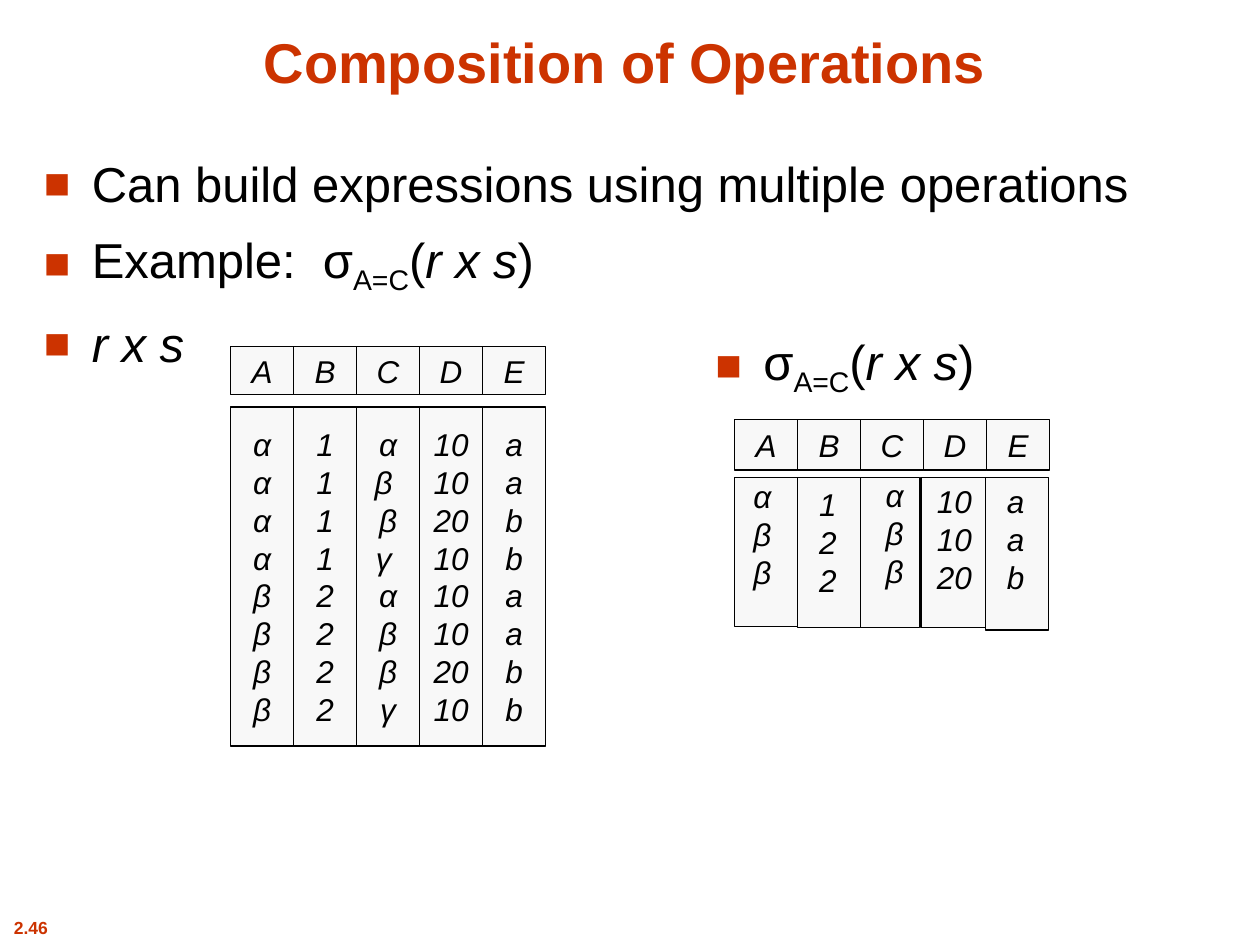
from dataclasses import dataclass

from lxml import etree
from pptx import Presentation
from pptx import util as u
from pptx.dml.color import RGBColor
from pptx.enum import shapes, text
from pptx.oxml.ns import qn


@dataclass(frozen=True)
class Theme:
    font: str = "Arial"
    accent: str = "CC3300"
    ink: str = "000000"
    cell: str = "F8F8F8"
    title: int = 32
    body: int = 28
    table: int = 18
    footer: int = 10
    rule: float = 0.75


THEME = Theme()

TITLE = "Composition of Operations"
PAGE_NUMBER = "2.46"

# Each bullet is a list of (wording, style) pairs.
SELECTION = [("A=C", "sub"), ("(", ""), ("r x s", "italic"), (")", "")]
BULLETS = [
    [("Can build expressions using multiple operations", "")],
    [("Example:  σ", "")] + SELECTION,
    [("r x s", "italic")],
]
RESULT_BULLET = [[("σ", "")] + SELECTION]

HEADERS = "ABCDE"
PRODUCT = [
    ["α", "α", "α", "α", "β", "β", "β", "β"],
    ["1", "1", "1", "1", "2", "2", "2", "2"],
    ["α", "β ", "β", "γ \vα", "β", "β", "γ"],
    ["10", "10", "20", "10", "10", "10", "20", "10"],
    ["a", "a", "b", "b", "a", "a", "b", "b"],
]
# Result columns: values, cell (left, width, height), label (left, top, width)
RESULT = [
    (["α", "β", "β"], (5.83, 0.53, 1.18), (5.87, 3.74, 0.36)),
    (["1", "2", "2"], (6.33, 0.5, 1.19), (6.4, 3.8, 0.34)),
    (["α", "β", "β"], (6.83, 0.47, 1.19), (6.92, 3.73, 0.36)),
    (["10", "10", "20"], (7.31, 0.53, 1.19), (7.29, 3.78, 0.57)),
    (["a", "a", "b"], (7.82, 0.5, 1.21), (7.89, 3.78, 0.34)),
]
COLUMN = 0.5
PRODUCT_LEFT, PRODUCT_TOP, PRODUCT_BODY_TOP = 1.83, 2.75, 3.23
RESULT_LEFT, RESULT_TOP, RESULT_BODY_TOP = 5.83, 3.33, 3.79
LABEL_HEIGHT = 1.19


def inches(*lengths):
    return [u.Inches(length) for length in lengths]


def style(span, size, color=THEME.ink, bold=False, italic=False):
    font = span.font
    font.name, font.size = THEME.font, u.Pt(size)
    font.bold, font.italic = bold, italic
    font.color.rgb = RGBColor.from_string(color)


def write_centred(frame, lines, size, **look):
    for index, line in enumerate(lines):
        para = frame.add_paragraph() if index else frame.paragraphs[0]
        para.text = line
        para.alignment = text.PP_ALIGN.CENTER
        for span in para.runs:
            style(span, size, **look)


def add_bullet_mark(para):
    """Square accent bullet, hanging indent and proportional space before."""
    props = para._p.get_or_add_pPr()
    props.set("marL", str(u.Inches(0.38)))
    props.set("indent", str(-u.Inches(0.38)))
    before = etree.SubElement(props, qn("a:spcBef"))
    etree.SubElement(before, qn("a:spcPct"), val="35000")
    color = etree.SubElement(props, qn("a:buClr"))
    etree.SubElement(color, qn("a:srgbClr"), val=THEME.accent)
    etree.SubElement(props, qn("a:buSzPct"), val="90000")
    etree.SubElement(props, qn("a:buFont"), typeface=THEME.font)
    etree.SubElement(props, qn("a:buChar"), char="■")


def add_bullets(page, bounds, bullets):
    frame = page.shapes.add_textbox(*inches(*bounds)).text_frame
    frame.word_wrap = True
    for index, bullet in enumerate(bullets):
        para = frame.add_paragraph() if index else frame.paragraphs[0]
        add_bullet_mark(para)
        for wording, kind in bullet:
            span = para.add_run()
            span.text = wording
            style(span, THEME.body, italic=kind == "italic")
            if kind == "sub":
                span._r.get_or_add_rPr().set("baseline", "-25000")


def add_cell(group, bounds, lines=()):
    box = group.shapes.add_shape(shapes.MSO_SHAPE.RECTANGLE, *inches(*bounds))
    box.shadow.inherit = False
    box.fill.solid()
    box.fill.fore_color.rgb = RGBColor.from_string(THEME.cell)
    box.line.color.rgb = RGBColor.from_string(THEME.ink)
    box.line.width = u.Pt(THEME.rule)
    frame = box.text_frame
    frame.word_wrap = False
    frame.vertical_anchor = text.MSO_ANCHOR.MIDDLE
    write_centred(frame, lines, THEME.table, italic=True)


def add_label(holder, bounds, lines, size, **look):
    frame = holder.shapes.add_textbox(*inches(*bounds)).text_frame
    frame.word_wrap = False
    frame.auto_size = text.MSO_AUTO_SIZE.SHAPE_TO_FIT_TEXT
    write_centred(frame, lines, size, **look)
    return frame


def add_headers(group, left, top, height):
    for index, name in enumerate(HEADERS):
        add_cell(group, (left + index * COLUMN, top, COLUMN, height), [name])


def add_product_table(page):
    group = page.shapes.add_group_shape()
    add_headers(group, PRODUCT_LEFT, PRODUCT_TOP, 0.38)
    for index, values in enumerate(PRODUCT):
        left = PRODUCT_LEFT + index * COLUMN
        add_cell(group, (left, PRODUCT_BODY_TOP, COLUMN, 2.69), values)


def add_result_table(page):
    group = page.shapes.add_group_shape()
    add_headers(group, RESULT_LEFT, RESULT_TOP, 0.4)
    for _, (left, width, height), _ in RESULT:
        add_cell(group, (left, RESULT_BODY_TOP, width, height))
    for values, _, label in RESULT:
        add_label(group, (*label, LABEL_HEIGHT), values, THEME.table, italic=True)


def main():
    deck = Presentation()
    deck.slide_width, deck.slide_height = inches(10, 7.5)
    page = deck.slides.add_slide(deck.slide_layouts[5])

    title = page.shapes.title
    title.left, title.top, title.width, title.height = inches(0.25, 0.13, 9.42, 0.67)
    title.text_frame.vertical_anchor = text.MSO_ANCHOR.BOTTOM
    write_centred(title.text_frame, [TITLE], THEME.title, color=THEME.accent, bold=True)

    add_label(page, (0, 7.23, 0.49, 0.27), [PAGE_NUMBER], THEME.footer,
              color=THEME.accent, bold=True)
    add_bullets(page, (0.25, 1.17, 9.42, 2.25), BULLETS)
    add_product_table(page)
    add_result_table(page)
    add_bullets(page, (5.58, 2.58, 3, 0.58), RESULT_BULLET)
    deck.save("out.pptx")


if __name__ == "__main__":
    main()
